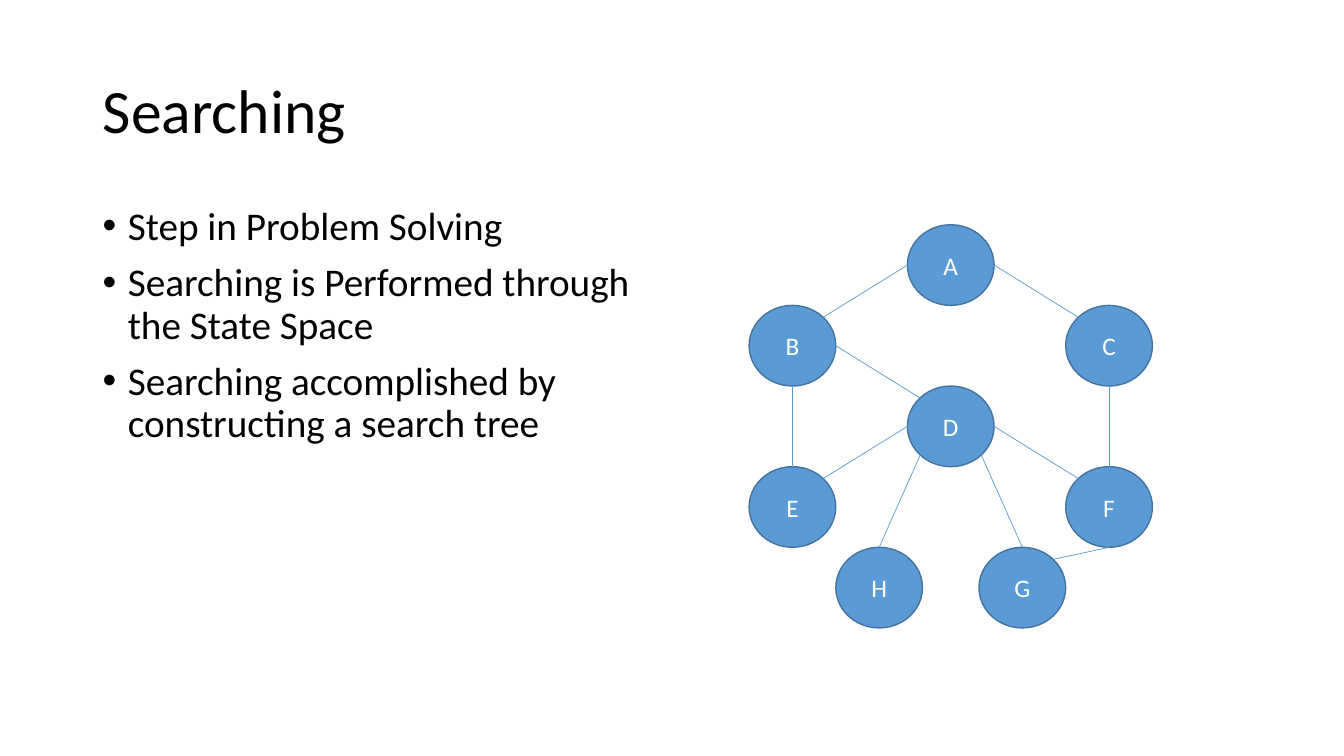
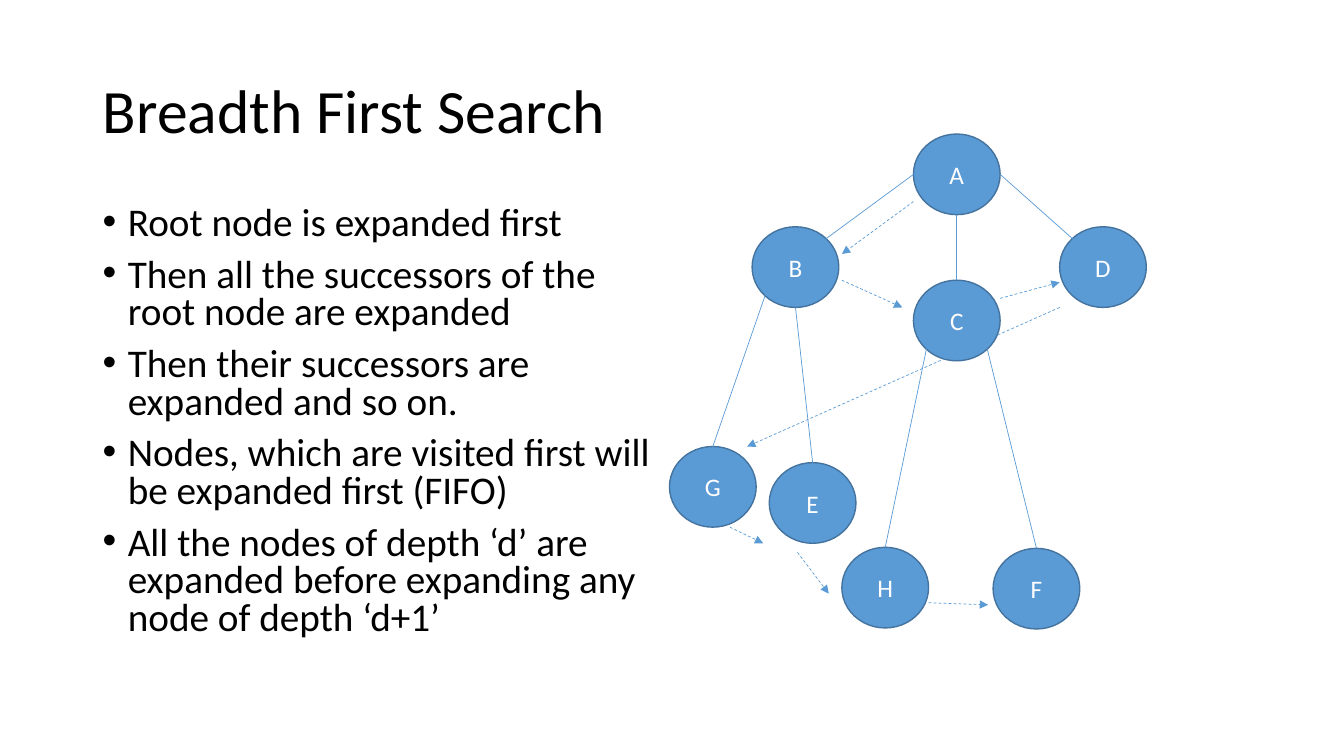
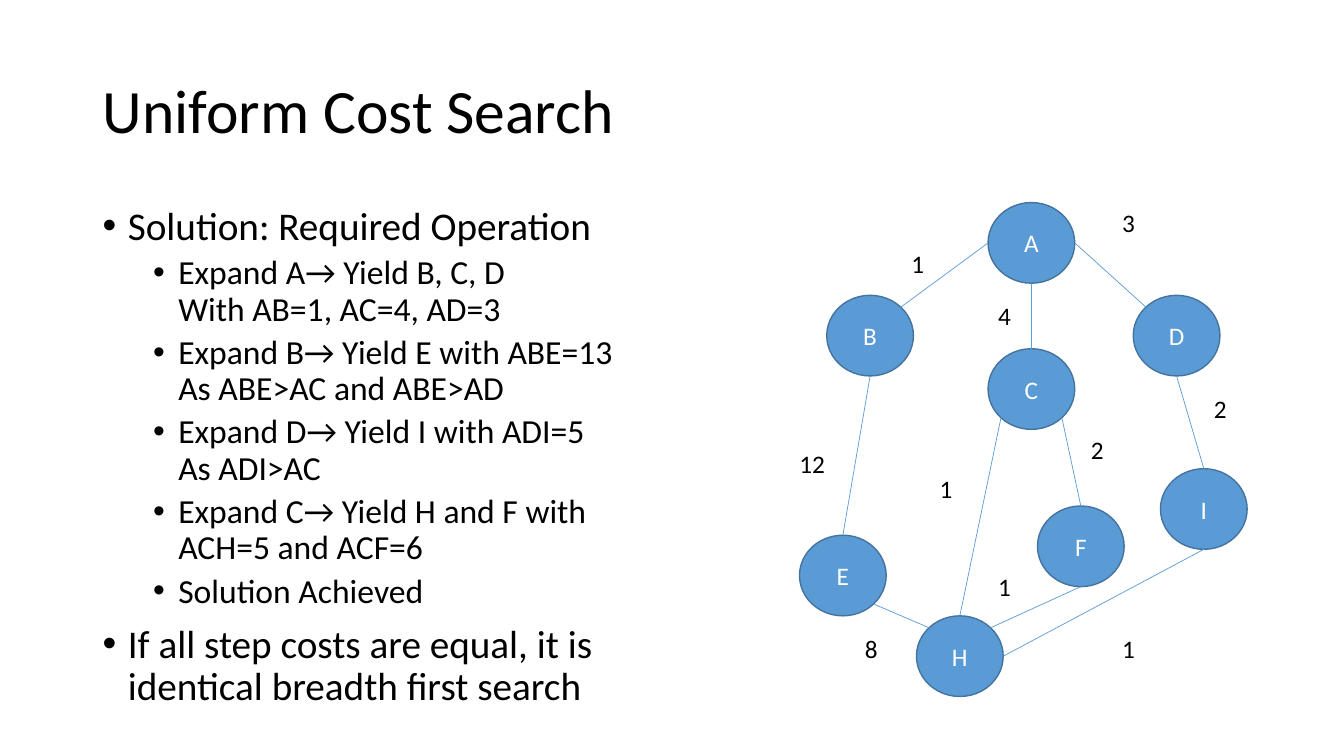
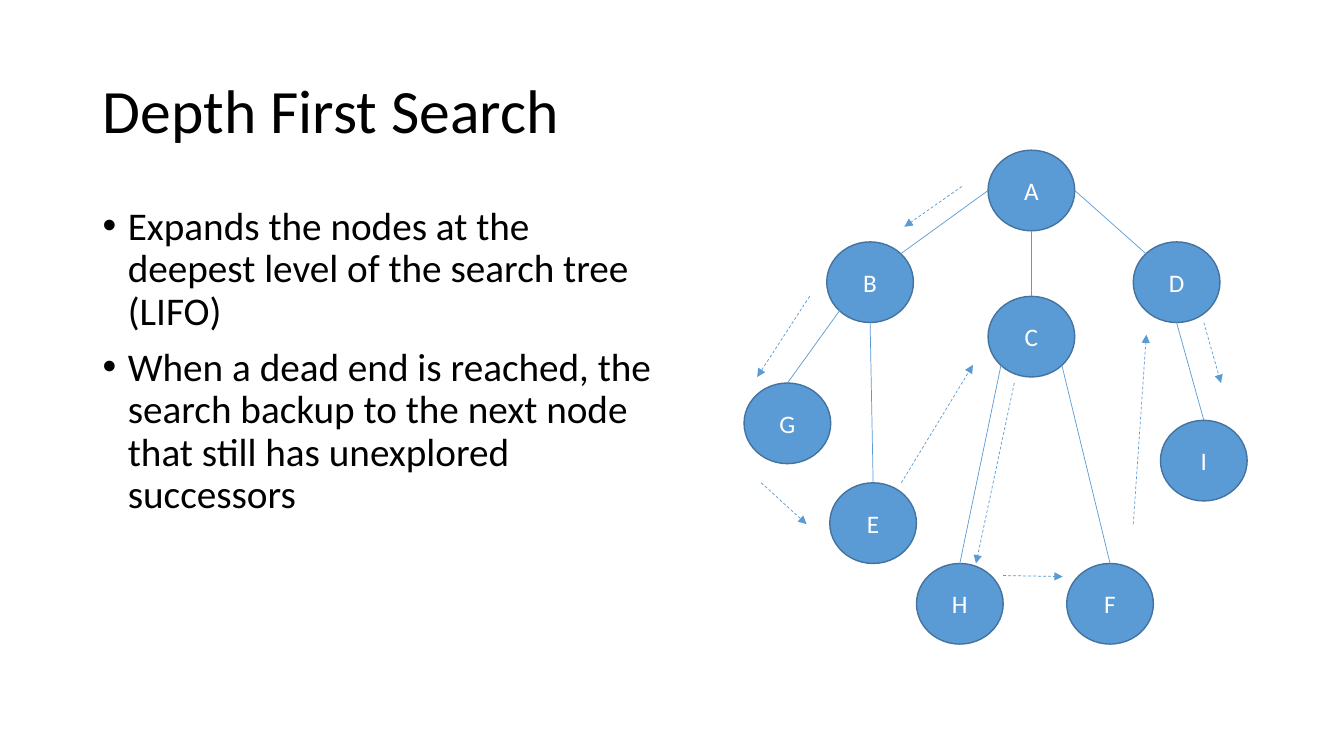
from pptx import Presentation
from pptx import util as u
from pptx.dml.color import RGBColor
from pptx.enum import dml, shapes, text
from pptx.oxml import ns
from lxml import etree

HUES = {"ink": "000000", "node": "5B9BD5", "rim": "43739E", "page": "FFFFFF"}
FONT = "Calibri"
SIZE = (0.86, 0.8)
ARC = 0.15
SITES = {
    "t": (0.5, 0), "b": (0.5, 1), "l": (0, 0.5), "r": (1, 0.5),
    "tl": (ARC, ARC), "tr": (1 - ARC, ARC),
    "bl": (ARC, 1 - ARC), "br": (1 - ARC, 1 - ARC),
}
LEVELS = [
    {"size": 28, "left": 0.25, "gap": 10},
    {"size": 24, "left": 0.75, "gap": 5},
]
TREE = ["A l B tr", "A b C t", "A r D tl", "C br F t", "B b E t", "C bl H t"]

SLIDES = [
    {
        "title": "Searching",
        "points": [
            (0, "Step in Problem Solving"),
            (0, "Searching is Performed through the State Space"),
            (0, "Searching accomplished by constructing a search tree"),
        ],
        "nodes": {
            "A": (9, 2.23), "B": (7.43, 3.03), "C": (10.57, 3.03),
            "D": (9, 3.83), "E": (7.43, 4.63), "F": (10.57, 4.63),
            "H": (8.29, 5.43), "G": (9.71, 5.43),
        },
        "edges": [
            "A l B tr", "A r C tl", "B r D tl", "C b F t", "D r F tl",
            "B b E t", "D l E tr", "D bl H t", "D br G t", "F b G tr",
        ],
    },
    {
        "title": "Breadth First Search",
        "pitch": 0.8,
        "points": [
            (0, "Root node is expanded first"),
            (0, "Then all the successors of the root node are expanded"),
            (0, "Then their successors are expanded and so on."),
            (0, "Nodes, which are visited first will be expanded first (FIFO)"),
            (0, "All the nodes of depth ‘d’ are expanded before expanding any node of depth ‘d+1’"),
        ],
        "nodes": {
            "A": (9.06, 1.33), "B": (7.46, 2.25), "C": (9.06, 2.78),
            "D": (10.51, 2.25), "E": (7.63, 4.59), "F": (9.85, 5.44),
            "H": (8.35, 5.43), "G": (6.64, 4.43),
        },
        "edges": TREE + ["B bl G t"],
        "moves": [
            (9.06, 2, 8.35, 2.52), (8.35, 2.78, 8.95, 3.05),
            (9.92, 2.96, 10.51, 2.8), (10.51, 3.05, 7.41, 4.43),
            (7.91, 5.48, 8.22, 5.89), (9.21, 5.98, 9.8, 6),
            (7.24, 5.23, 7.57, 5.39),
        ],
    },
    {
        "title": "Uniform Cost Search",
        "tall": 5.5,
        "points": [
            (0, "Solution: Required Operation"),
            (1, "Expand A→ Yield B, C, D\nWith AB=1, AC=4, AD=3"),
            (1, "Expand B→ Yield E with ABE=13\nAs ABE>AC and ABE>AD"),
            (1, "Expand D→ Yield I with ADI=5\nAs ADI>AC"),
            (1, "Expand C→ Yield H and F with ACH=5 and ACF=6"),
            (1, "Solution Achieved"),
            (0, "If all step costs are equal, it is identical breadth first search"),
        ],
        "nodes": {
            "A": (9.8, 2.01), "B": (8.2, 2.93), "C": (9.8, 3.46),
            "D": (11.24, 2.93), "E": (7.93, 5.31), "F": (10.29, 5.02),
            "H": (9.09, 6.11), "I": (11.51, 4.65),
        },
        "edges": TREE + ["H tl E br", "D b I t", "F b H tr", "I b H r"],
        "costs": [
            ("1", 8.94, 2.41), ("12", 7.83, 4.4), ("8", 8.48, 6.23),
            ("4", 9.8, 2.93), ("1", 9.22, 4.65), ("2", 10.72, 4.26),
            ("1", 9.8, 5.62), ("3", 11.03, 2.01), ("2", 11.94, 3.85),
            ("1", 11.03, 6.23),
        ],
    },
    {
        "title": "Depth First Search",
        "points": [
            (0, "Expands the nodes at the deepest level of the search tree (LIFO)"),
            (0, "When a dead end is reached, the search backup to the next node that still has unexplored successors"),
        ],
        "nodes": {
            "A": (9.8, 1.49), "B": (8.2, 2.4), "C": (9.8, 2.94),
            "D": (11.24, 2.4), "E": (8.23, 4.79), "F": (10.58, 5.59),
            "H": (9.09, 5.59), "G": (7.38, 3.8), "I": (11.51, 4.17),
        },
        "edges": TREE + ["B bl G t", "D b I t"],
        "moves": [
            (9.54, 1.85, 8.97, 2.25), (8.03, 2.94, 7.51, 3.74),
            (7.55, 4.79, 8, 5.2), (8.94, 4.79, 9.65, 3.62),
            (10.06, 3.8, 9.68, 5.59), (9.95, 5.71, 10.54, 5.72),
            (11.24, 5.2, 11.37, 3.32), (11.94, 3.2, 12.11, 3.8),
        ],
    },
]


def hue(name):
    return RGBColor.from_string(HUES[name])


def inch(*sizes):
    return [u.Inches(size) for size in sizes]


def put(item, **values):
    for name, value in values.items():
        setattr(item, name, value)


def place(shape, *box):
    put(shape, **dict(zip(("left", "top", "width", "height"), inch(*box))))


def tag(root, name, **values):
    return etree.SubElement(root, ns.qn(name), values)


def write(para, words, size, ink="ink", **form):
    para.text = words
    put(para, **form)
    for run in para.runs:
        put(run.font, name=FONT, size=u.Pt(size))
        run.font.color.rgb = hue(ink)


def head(slide, words):
    shape = slide.shapes.title
    place(shape, 0.92, 0.4, 11.5, 1.45)
    frame = shape.text_frame
    put(frame, word_wrap=True, vertical_anchor=text.MSO_ANCHOR.MIDDLE)
    write(frame.paragraphs[0], words, 44,
          alignment=text.PP_ALIGN.LEFT, line_spacing=0.9)


def bullets(slide, points, tall, pitch):
    frame = slide.shapes.add_textbox(*inch(0.92, 2, 5.67, tall)).text_frame
    frame.word_wrap = True
    for rank, (level, words) in enumerate(points):
        para = frame.add_paragraph() if rank else frame.paragraphs[0]
        form = LEVELS[level]
        write(para, words, form["size"], level=level,
              line_spacing=pitch, space_before=u.Pt(form["gap"]))
        props = para._p.get_or_add_pPr()
        props.set("marL", str(u.Inches(form["left"])))
        props.set("indent", str(u.Inches(-0.25)))
        tag(props, "a:buFont", typeface="Arial")
        tag(props, "a:buChar", char="•")


def node(slide, name, spot):
    shape = slide.shapes.add_shape(shapes.MSO_SHAPE.OVAL, *inch(*spot, *SIZE))
    shape.shadow.inherit = False
    shape.fill.solid()
    shape.fill.fore_color.rgb = hue("node")
    shape.line.color.rgb = hue("rim")
    shape.line.width = u.Pt(1)
    frame = shape.text_frame
    frame.vertical_anchor = text.MSO_ANCHOR.MIDDLE
    write(frame.paragraphs[0], name, 18, "page",
          alignment=text.PP_ALIGN.CENTER)
    return shape


def link(slide, *ends):
    wire = slide.shapes.add_connector(shapes.MSO_CONNECTOR.STRAIGHT, *inch(*ends))
    wire.line.color.rgb = hue("node")
    wire.line.width = u.Pt(0.5)
    tag(wire._element.spPr, "a:effectLst")
    return wire


def edge(slide, route, spots, ovals):
    start, out, stop, into = route.split()
    ends = []
    for name, side in ((start, out), (stop, into)):
        ends += [p + f * s for p, f, s in zip(spots[name], SITES[side], SIZE)]
    wire = link(slide, *ends)
    if into == "t":
        wire.end_connect(ovals[stop], 0)


def move(slide, *ends):
    wire = link(slide, *ends)
    wire.line.dash_style = dml.MSO_LINE.DASH
    tag(wire.line._get_or_add_ln(), "a:tailEnd", type="triangle")


def cost(slide, words, left, top):
    wide = 0.2 + 0.15 * len(words)
    frame = slide.shapes.add_textbox(*inch(left, top, wide, 0.4)).text_frame
    frame.word_wrap = True
    write(frame.paragraphs[0], words, 18)


def build(deck, data):
    slide = deck.slides.add_slide(deck.slide_layouts[5])
    head(slide, data["title"])
    bullets(slide, data["points"], data.get("tall", 4.76), data.get("pitch", 0.9))
    spots = data["nodes"]
    ovals = {name: node(slide, name, spot) for name, spot in spots.items()}
    for route in data["edges"]:
        edge(slide, route, spots, ovals)
    for ends in data.get("moves", []):
        move(slide, *ends)
    for label in data.get("costs", []):
        cost(slide, *label)


def main():
    deck = Presentation()
    put(deck, slide_width=u.Inches(13.33), slide_height=u.Inches(7.5))
    for data in SLIDES:
        build(deck, data)
    deck.save("out.pptx")


if __name__ == "__main__":
    main()
